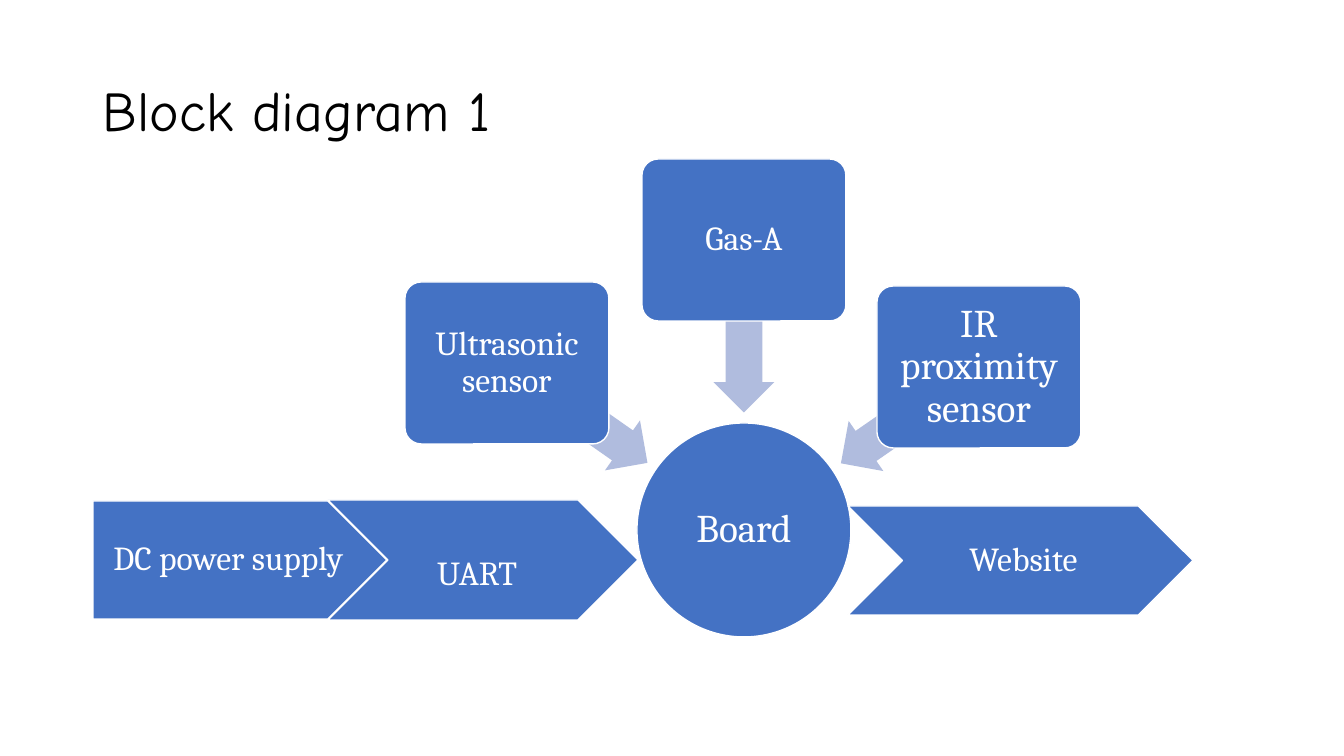
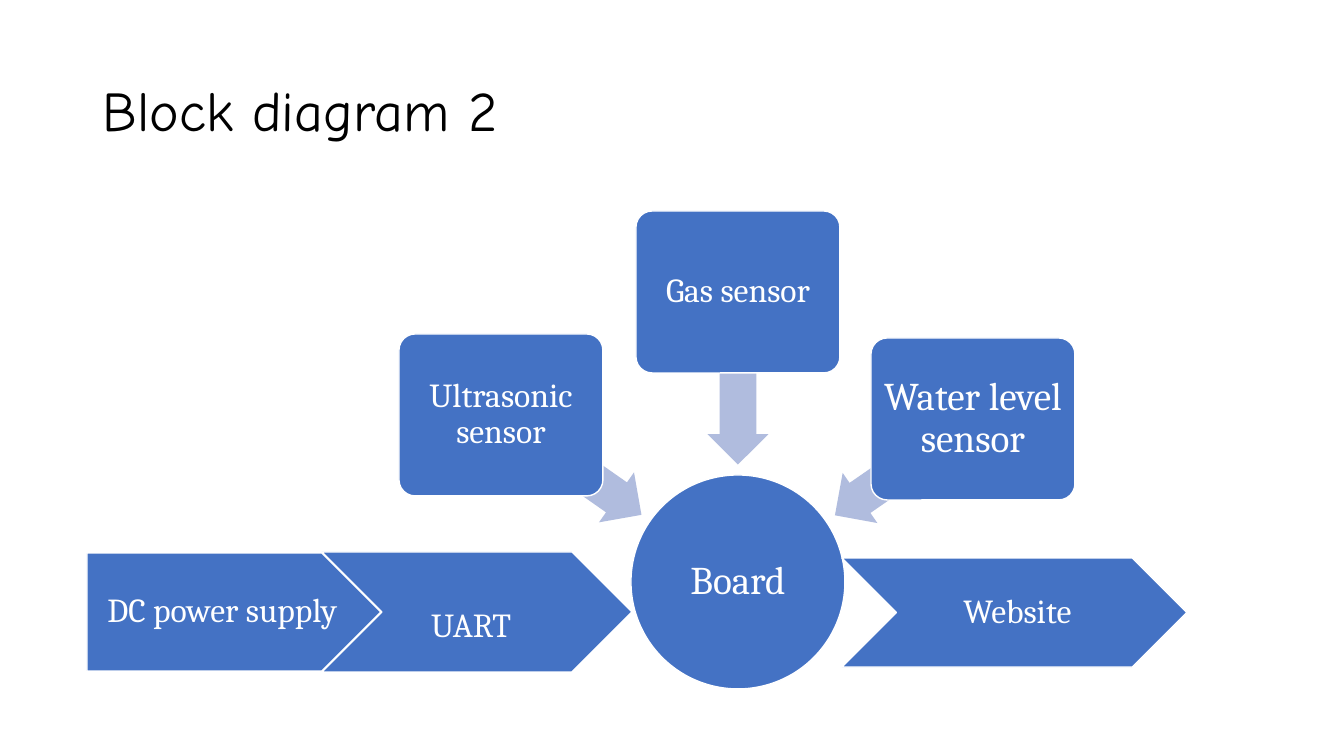
import pptx
import pptx.util
import pptx.dml.color
import pptx.enum.shapes
import pptx.enum.text

KIND = pptx.enum.shapes.MSO_SHAPE
ALIGN = pptx.enum.text.PP_ALIGN
MIDDLE = pptx.enum.text.MSO_ANCHOR.MIDDLE
Pt = pptx.util.Pt

HUES = {"block": "4472C4", "arrow": "B0BCDE", "white": "FFFFFF", "black": "000000"}
TITLE = (93, 40, 1159, 146)
SIZE = (204, 162)

SLIDES = [
    ("Block diagram 1", (0, 0),
     [("Ultrasonic sensor", 24), ("Gas-A", 24), ("IR proximity sensor", 28)]),
    ("Block diagram 2", (-6, 52),
     [("Ultrasonic sensor", 24), ("Gas sensor", 24), ("Water level sensor", 28)]),
]
HUB = ("Board", KIND.OVAL, (637, 423, 214, 214))
SPOTS = [
    ((405, 282), (491, 383, 172, 61), 215),
    ((642, 159), (658, 296, 172, 61), 270),
    ((877, 286), (826, 385, 168, 61), 325.3),
]
CHAIN = [
    ("DC power supply", KIND.PENTAGON, (93, 501, 294, 118), ""),
    ("UART", KIND.CHEVRON, (328, 500, 310, 120), " "),
    ("Website", KIND.CHEVRON, (848, 506, 345, 109), ""),
]


def px(count):
    return round(count * 914400 / 100.8)


def color(name):
    return pptx.dml.color.RGBColor.from_string(HUES[name])


def write(shape, text, size=24, font="Cambria", hue="white", align=ALIGN.CENTER,
          pads=(10, 5, 10, 5), tail=""):
    frame = shape.text_frame
    frame.word_wrap = True
    frame.auto_size = pptx.enum.text.MSO_AUTO_SIZE.NONE
    frame.vertical_anchor = MIDDLE
    frame.margin_left, frame.margin_top, frame.margin_right, frame.margin_bottom = map(px, pads)
    line = frame.paragraphs[0]
    line.alignment = align
    line.line_spacing = 0.9
    runs = [(text, size, font)]
    if tail:
        runs.append((tail, 56, "Calibri"))
    for words, points, face in runs:
        run = line.add_run()
        run.text = words
        run.font.size = Pt(points)
        run.font.name = face
        run.font.color.rgb = color(hue)


def draw(group, kind, box, hue="block", turn=0, adjust=()):
    shape = group.shapes.add_shape(kind, *map(px, box))
    shape.shadow.inherit = False
    shape.rotation = turn
    for index, value in enumerate(adjust):
        shape.adjustments[index] = value
    shape.fill.solid()
    shape.fill.fore_color.rgb = color(hue)
    if hue == "arrow":
        shape.line.fill.background()
    else:
        shape.line.color.rgb = color("white")
        shape.line.width = Pt(1)
    return shape


def build(deck, title, shift, sensors):
    slide = deck.slides.add_slide(deck.slide_layouts[5])
    head = slide.shapes.title
    head.left, head.top, head.width, head.height = map(px, TITLE)
    write(head, title, size=40, font="Comic Neue", hue="black", align=ALIGN.LEFT)

    group = slide.shapes.add_group_shape()
    text, kind, box = HUB
    write(draw(group, kind, box), text, size=28, pads=(2, 2, 2, 2))
    for (text, size), (spot, arrow, turn) in zip(sensors, SPOTS):
        draw(group, KIND.LEFT_ARROW, arrow, hue="arrow", turn=turn, adjust=(0.6, 0.5))
        card = draw(group, KIND.ROUNDED_RECTANGLE, spot + SIZE, adjust=(0.1,))
        write(card, text, size=size, pads=(5, 5, 5, 5))
    for text, kind, box, tail in CHAIN:
        write(draw(group, kind, box), text, pads=(10, 4, 4, 4), tail=tail)
    group.left += px(shift[0])
    group.top += px(shift[1])


deck = pptx.Presentation()
deck.slide_width, deck.slide_height = px(1344), px(756)
for entry in SLIDES:
    build(deck, *entry)
deck.save("out.pptx")
